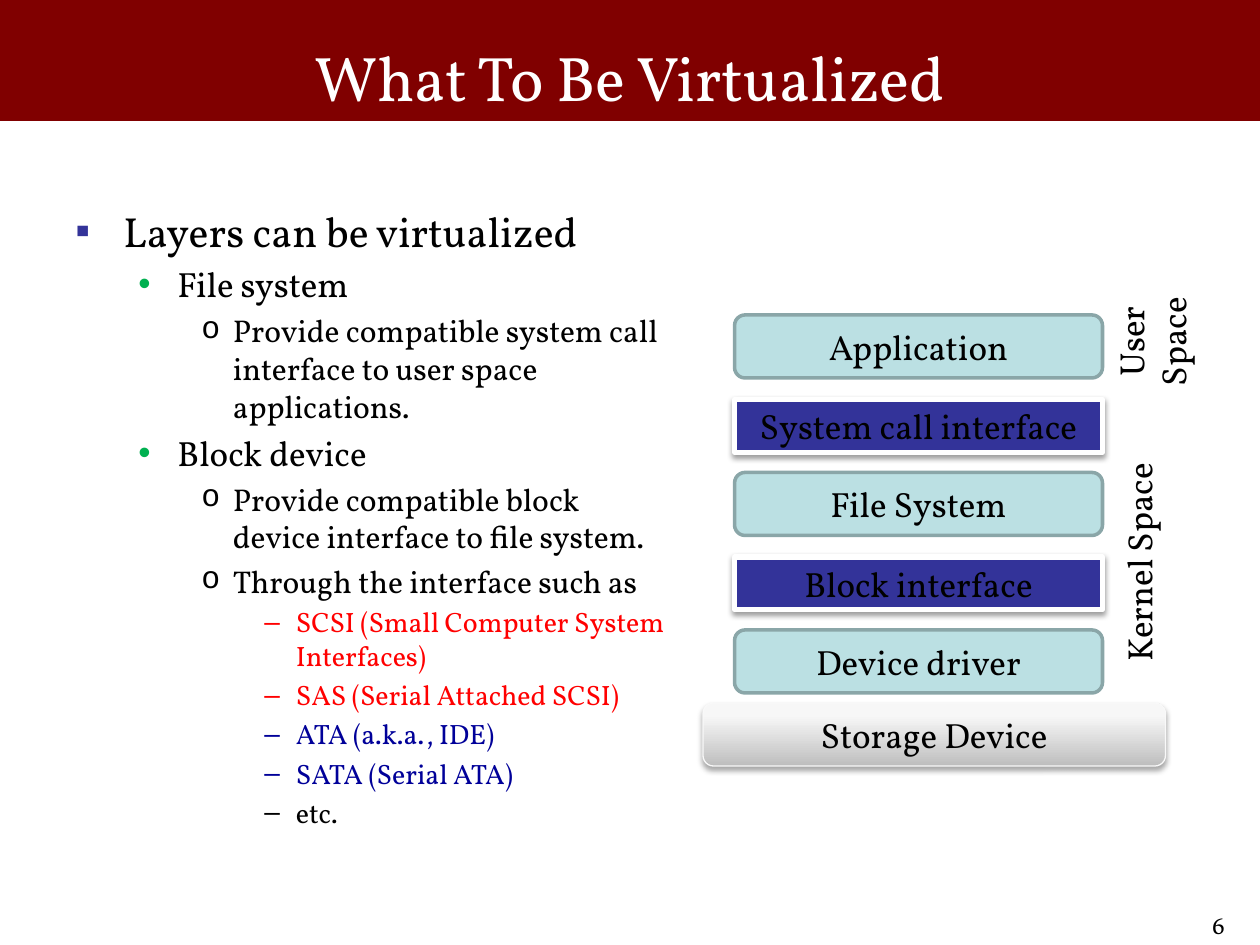
from lxml import etree
from pptx import Presentation
from pptx.dml.color import RGBColor
from pptx.enum.shapes import MSO_SHAPE
from pptx.enum.text import MSO_ANCHOR, PP_ALIGN
from pptx.oxml.ns import qn
from pptx.util import Inches, Pt

RECTANGLE = MSO_SHAPE.RECTANGLE
ROUNDED = MSO_SHAPE.ROUNDED_RECTANGLE
LEFT, CENTER, RIGHT = PP_ALIGN.LEFT, PP_ALIGN.CENTER, PP_ALIGN.RIGHT
TOP, MIDDLE, BOTTOM = MSO_ANCHOR.TOP, MSO_ANCHOR.MIDDLE, MSO_ANCHOR.BOTTOM

COLORS = {
    "black": "000000", "white": "FFFFFF", "maroon": "800000",
    "navy": "333399", "blue": "000099", "red": "FF0000", "green": "00B050",
    "layer": "BBE0E3", "layer_edge": "8AA6A8",
    "device_dark": "BEBEBE", "device_light": "F7F7F7", "device_edge": "F9F9F9",
}

# One entry per outline level: size, indent, hanging, bullet, bullet font, bullet colour
LEVELS = [
    (24, 0.38, 0.38, "▪", "Arial", "navy"),
    (20, 0.81, 0.31, "•", "Arial", "green"),
    (18, 1.25, 0.25, "o", "Courier New", None),
    (16, 1.75, 0.25, "–", "Arial", None),
]

OUTLINE = [
    (0, "Layers can be virtualized", "black"),
    (1, "File system", "black"),
    (2, "Provide compatible system call interface to user space applications.", "black"),
    (1, "Block device", "black"),
    (2, "Provide compatible block device interface to file system.", "black"),
    (2, "Through the interface such as", "black"),
    (3, "SCSI (Small Computer System Interfaces)", "red"),
    (3, "SAS (Serial Attached SCSI)", "red"),
    (3, "ATA (a.k.a., IDE)", "blue"),
    (3, "SATA (Serial ATA)", "blue"),
    (3, "etc.", "black"),
]

STACK_LEFT, STACK_WIDTH, STACK_TOP, STACK_STEP = 5.83, 2.92, 2.5, 1.25
LAYERS = ["Application", "File System", "Device driver"]
INTERFACES = ["System call interface", "Block interface"]


def rgb(name):
    return RGBColor.from_string(COLORS[name])


class SlideBuilder:
    font = "Vollkorn"

    def __init__(self, slide):
        self.slide = slide

    def style(self, paragraph, size, color, align):
        paragraph.alignment = align
        for run in paragraph.runs:
            run.font.name = self.font
            run.font.size = Pt(size)
            run.font.color.rgb = rgb(color)

    def set_text(self, shape, text, size=20, color="black", align=CENTER, anchor=MIDDLE):
        frame = shape.text_frame
        frame.text = text
        frame.word_wrap = True
        frame.vertical_anchor = anchor
        self.style(frame.paragraphs[0], size, color, align)

    def title(self, text, box):
        title = self.slide.shapes.title
        title.left, title.top, title.width, title.height = map(Inches, box)
        self.set_text(title, text, 36, "white")

    def text(self, text, box, size, align):
        shape = self.slide.shapes.add_textbox(*map(Inches, box))
        self.set_text(shape, text, size, align=align, anchor=TOP)

    def box(self, kind, box, fill, edge, weight, text=""):
        shape = self.slide.shapes.add_shape(kind, *map(Inches, box))
        shape.shadow.inherit = False
        shape.fill.solid()
        shape.fill.fore_color.rgb = rgb(fill)
        shape.line.color.rgb = rgb(edge)
        shape.line.width = Pt(weight)
        if text:
            self.set_text(shape, text)
        return shape

    def title_band(self, box):
        band = self.box(RECTANGLE, box, "maroon", "maroon", 2)
        self.slide.shapes.title._element.addprevious(band._element)

    def side_label(self, text, box):
        """Add a label that reads upwards along the right edge of its box."""
        shape = self.box(RECTANGLE, box, "white", "white", 0.75, text)
        shape.text_frame.vertical_anchor = BOTTOM
        shape.text_frame._txBody.bodyPr.set("vert", "vert270")

    def drop_shadow(self, shape, opacity, blur, distance):
        effects = shape._element.spPr.find(qn("a:effectLst"))
        shadow = etree.SubElement(
            effects, qn("a:outerShdw"), blurRad=str(Pt(blur)),
            dist=str(Pt(distance)), dir="5400000", rotWithShape="0")
        color = etree.SubElement(shadow, qn("a:srgbClr"), val=COLORS["black"])
        etree.SubElement(color, qn("a:alpha"), val=str(opacity * 1000))

    def shade(self, shape, bottom, top):
        """Fill with a gradient that rises from the bottom colour to the top one."""
        shape.fill.gradient()
        shape.fill.gradient_angle = 90
        stops = zip(shape.fill.gradient_stops, (bottom, top), (0, 0.8))
        for stop, color, position in stops:
            stop.color.rgb = rgb(color)
            stop.position = position

    def bullet(self, paragraph, level):
        size, indent, hanging, mark, font, color = LEVELS[level]
        paragraph.level = level
        paragraph.space_before = Pt(size * 0.2)
        properties = paragraph._p.get_or_add_pPr()
        properties.set("marL", str(Inches(indent)))
        properties.set("indent", str(-Inches(hanging)))
        if color:
            bullet_color = etree.SubElement(properties, qn("a:buClr"))
            etree.SubElement(bullet_color, qn("a:srgbClr"), val=COLORS[color])
        etree.SubElement(properties, qn("a:buFont"), typeface=font)
        etree.SubElement(properties, qn("a:buChar"), char=mark)

    def outline(self, items, box):
        frame = self.slide.shapes.add_textbox(*map(Inches, box)).text_frame
        frame.word_wrap = True
        for index, (level, text, color) in enumerate(items):
            paragraph = frame.add_paragraph() if index else frame.paragraphs[0]
            paragraph.text = text
            self.style(paragraph, LEVELS[level][0], color, LEFT)
            self.bullet(paragraph, level)


def main():
    presentation = Presentation()
    presentation.slide_width, presentation.slide_height = Inches(10), Inches(7.5)
    builder = SlideBuilder(presentation.slides.add_slide(presentation.slide_layouts[5]))

    builder.title_band((0, 0, 10, 0.95))
    builder.title("What To Be Virtualized", (0.5, -0.02, 9, 1.25))
    builder.outline(OUTLINE, (0.5, 1.58, 4.92, 4.95))

    builder.side_label("Kernel Space", (5.58, 3.5, 3.67, 1.92))
    builder.side_label("User Space", (5.85, 2, 3.67, 1.42))

    for index, name in enumerate(LAYERS):
        top = STACK_TOP + index * STACK_STEP
        builder.box(ROUNDED, (STACK_LEFT, top, STACK_WIDTH, 0.5),
                    "layer", "layer_edge", 2, name)
    for index, name in enumerate(INTERFACES):
        top = STACK_TOP + 0.67 + index * STACK_STEP
        interface = builder.box(RECTANGLE, (STACK_LEFT, top, STACK_WIDTH, 0.42),
                                "navy", "white", 3, name)
        builder.drop_shadow(interface, 38, 3.1, 1.6)

    storage = builder.box(ROUNDED, (5.58, 5.58, 3.67, 0.5),
                          "device_light", "device_edge", 0.75, "Storage Device")
    builder.shade(storage, "device_dark", "device_light")
    builder.drop_shadow(storage, 35, 3.1, 1.8)

    builder.text("6", (7.62, 7.17, 2.2, 0.3), 14, RIGHT)
    presentation.save("out.pptx")


if __name__ == "__main__":
    main()
